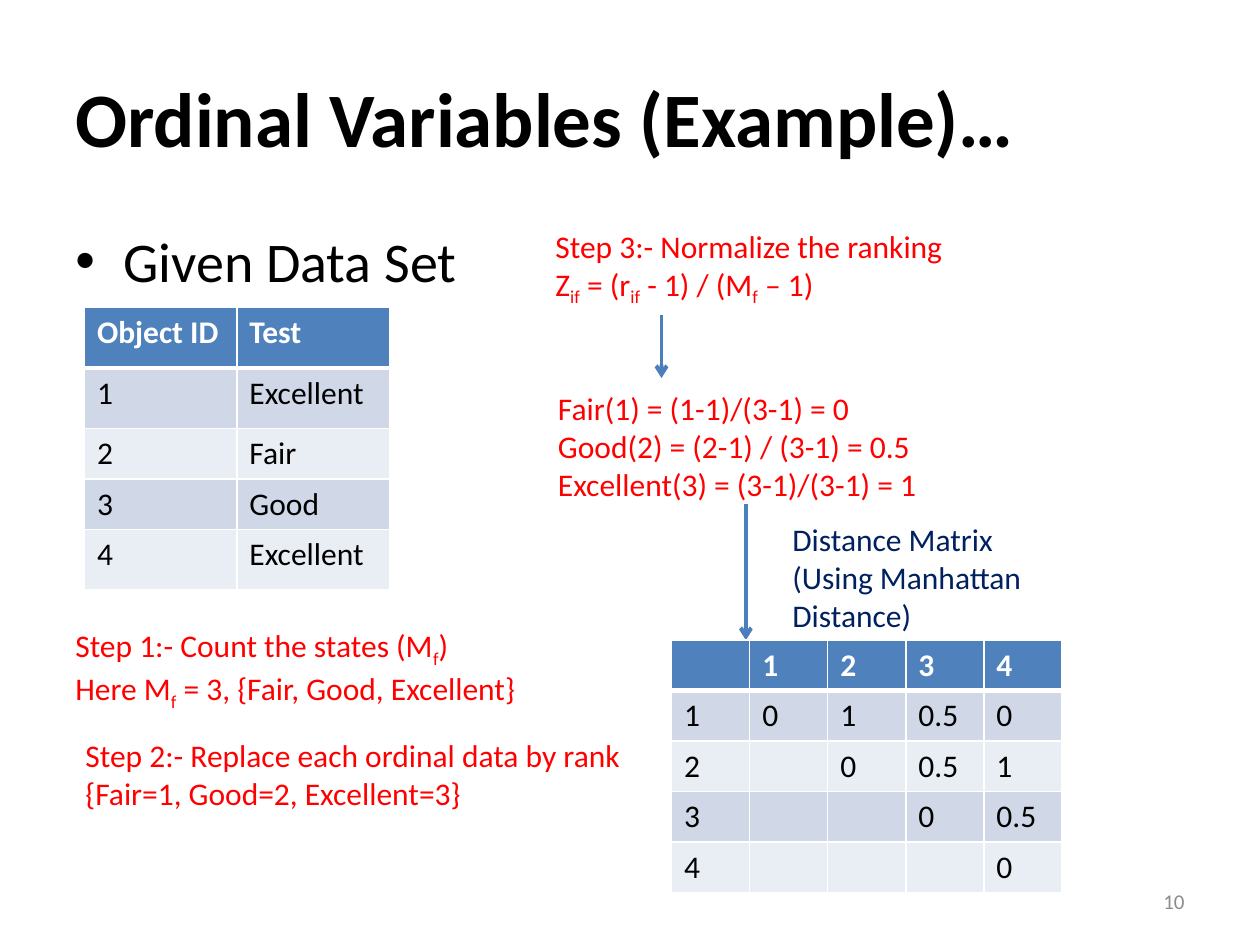
from lxml.etree import SubElement
from pptx import Presentation
from pptx.dml.color import RGBColor
from pptx.enum.shapes import MSO_CONNECTOR
from pptx.enum.text import MSO_ANCHOR as Anchor, PP_ALIGN as Align
from pptx.oxml import parse_xml
from pptx.oxml.ns import nsdecls, qn
from pptx.util import Inches, Pt

BLACK = RGBColor(0x00, 0x00, 0x00)
WHITE = RGBColor(0xFF, 0xFF, 0xFF)
RED = RGBColor(0xFF, 0x00, 0x00)
NAVY = RGBColor(0x00, 0x20, 0x60)
GRAY = RGBColor(0x8C, 0x8C, 0x8C)
ARROW_BLUE = RGBColor(0x4B, 0x7E, 0xBC)
HEADER_BLUE = RGBColor(0x4F, 0x81, 0xBD)
BANDS = [RGBColor(0xE9, 0xED, 0xF4), RGBColor(0xD0, 0xD8, 0xE8)]


def add_text(place, lines, color, size=18, bold=False, wrap=False,
             anchor=Anchor.TOP, align=Align.LEFT, bullet=None):
    """Add a text box; in a line, text between | marks is subscript."""
    frame = slide.shapes.add_textbox(*map(Inches, place)).text_frame
    frame.word_wrap = wrap
    frame.vertical_anchor = anchor
    for index, line in enumerate(lines):
        para = frame.paragraphs[0] if index == 0 else frame.add_paragraph()
        para.alignment = align
        if bullet:
            props = para._p.get_or_add_pPr()
            props.set("marL", str(Inches(0.38)))
            props.set("indent", str(Inches(-0.38)))
            SubElement(props, qn("a:buFont"), typeface="Arial")
            SubElement(props, qn("a:buChar"), char=bullet)
        for part, text in enumerate(line.split("|")):
            span = para.add_run()
            span.text = text
            font_format = {"name": "Calibri", "size": Pt(size), "bold": bold}
            for name, value in font_format.items():
                setattr(span.font, name, value)
            span.font.color.rgb = color
            if part % 2:
                span.font._element.set("baseline", "-25000")


def add_grid(left, top, column_width, row_heights, rows):
    """Add a banded table with a blue header row and white cell borders."""
    table = slide.shapes.add_table(
        len(rows), len(rows[0]), Inches(left), Inches(top),
        Inches(column_width * len(rows[0])), Inches(sum(row_heights))).table
    for column in table.columns:
        column.width = Inches(column_width)
    for row_index, values in enumerate(rows):
        table.rows[row_index].height = Inches(row_heights[row_index])
        header = row_index == 0
        for column_index, value in enumerate(values):
            cell = table.cell(row_index, column_index)
            for side in "LRTB":
                thick = (header and side == "B") or (row_index == 1 and side == "T")
                cell._tc.get_or_add_tcPr().append(parse_xml(
                    f'<a:ln{side} {nsdecls("a")} w="{Pt(3 if thick else 1)}">'
                    f'<a:solidFill><a:srgbClr val="{WHITE}"/></a:solidFill></a:ln{side}>'))
            cell.fill.solid()
            cell.fill.fore_color.rgb = HEADER_BLUE if header else BANDS[row_index % 2]
            cell.text = value
            font = cell.text_frame.paragraphs[0].font
            for name, setting in {"name": "Calibri", "size": Pt(18), "bold": header}.items():
                setattr(font, name, setting)
            font.color.rgb = WHITE if header else BLACK


deck = Presentation()
deck.slide_width, deck.slide_height = Inches(10), Inches(7.5)
slide = deck.slides.add_slide(deck.slide_layouts[6])

add_text((0.5, 0.3, 9, 1.25), ["Ordinal Variables (Example)…"], BLACK,
         size=44, bold=True, wrap=True, anchor=Anchor.MIDDLE)
add_text((0.5, 1.75, 9, 4.95), ["Given Data Set"], BLACK, size=32, wrap=True, bullet="•")
add_text((7.17, 6.95, 2.33, 0.4), ["10"], GRAY, size=12, wrap=True,
         anchor=Anchor.MIDDLE, align=Align.RIGHT)

add_grid(0.67, 2.44, 1.21, [0.48, 0.48, 0.4, 0.4, 0.48], [
    ["Object ID", "Test"],
    ["1", "Excellent"],
    ["2", "Fair"],
    ["3", "Good"],
    ["4", "Excellent"],
])

steps = [
    ((0.5, 4.92, 3.74, 0.71),
     ["Step 1:- Count the states (M|f|)", "Here M|f| = 3, {Fair, Good, Excellent}"]),
    ((0.58, 5.79, 4.5, 0.71),
     ["Step 2:- Replace each ordinal data by rank", "{Fair=1, Good=2, Excellent=3}"]),
    ((4.31, 1.75, 3.31, 0.71),
     ["Step 3:- Normalize the ranking", "Z|if| = (r|if| - 1) / (M|f| – 1)"]),
    ((4.33, 3.04, 3.08, 1.01),
     ["Fair(1) = (1-1)/(3-1) = 0", "Good(2) = (2-1) / (3-1) = 0.5",
      "Excellent(3) = (3-1)/(3-1) = 1"]),
]
for place, lines in steps:
    add_text(place, lines, RED)

for x, top, bottom in [(5.25, 2.5, 3), (5.92, 4, 5.08)]:
    arrow = slide.shapes.add_connector(
        MSO_CONNECTOR.STRAIGHT, Inches(x), Inches(top), Inches(x), Inches(bottom))
    arrow.line.color.rgb = ARROW_BLUE
    arrow.line.width = Pt(2.25)
    SubElement(arrow.line._get_or_add_ln(), qn("a:tailEnd"), type="arrow")
    SubElement(arrow._element.spPr, qn("a:effectLst"))

add_text((6.19, 4.08, 2.14, 1.01), ["Distance Matrix (Using Manhattan Distance)"],
         NAVY, wrap=True)
add_grid(5.33, 5.08, 0.62, [0.4] * 5, [
    ["", "1", "2", "3", "4"],
    ["1", "0", "1", "0.5", "0"],
    ["2", "", "0", "0.5", "1"],
    ["3", "", "", "0", "0.5"],
    ["4", "", "", "", "0"],
])

deck.save("out.pptx")
